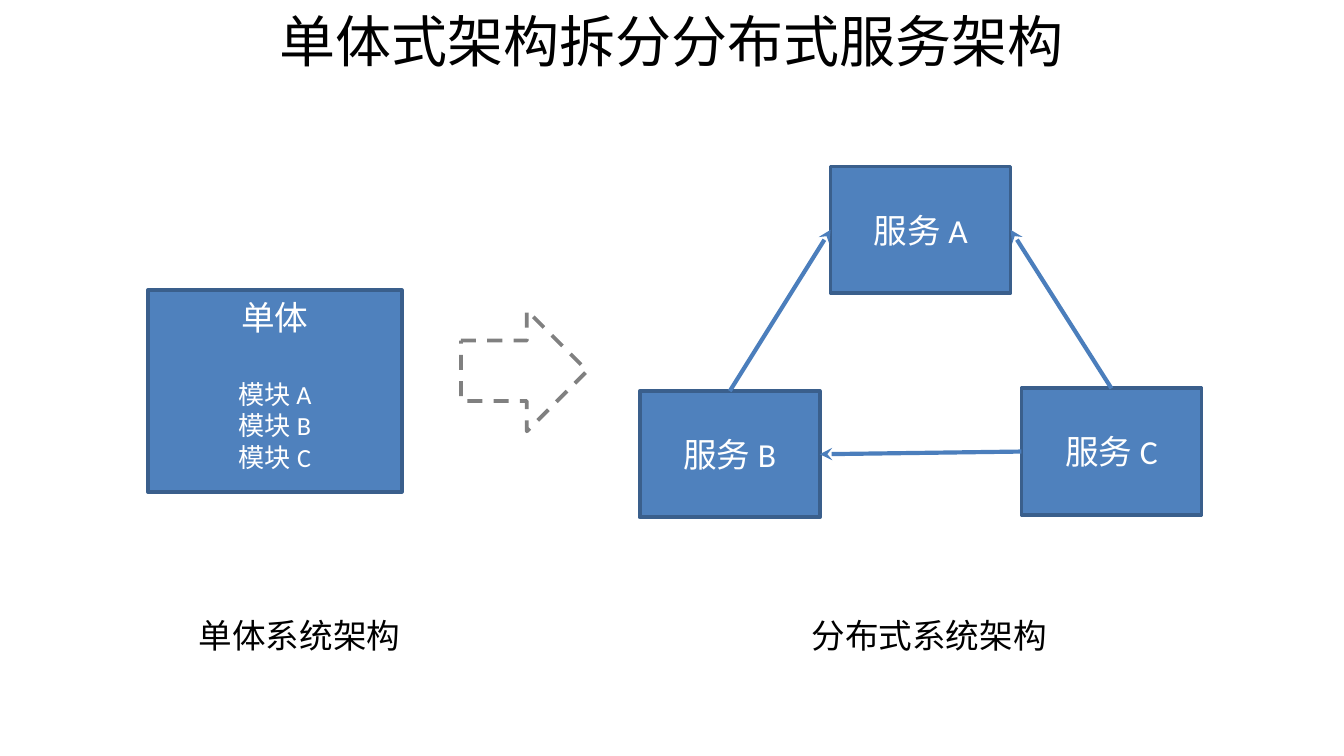
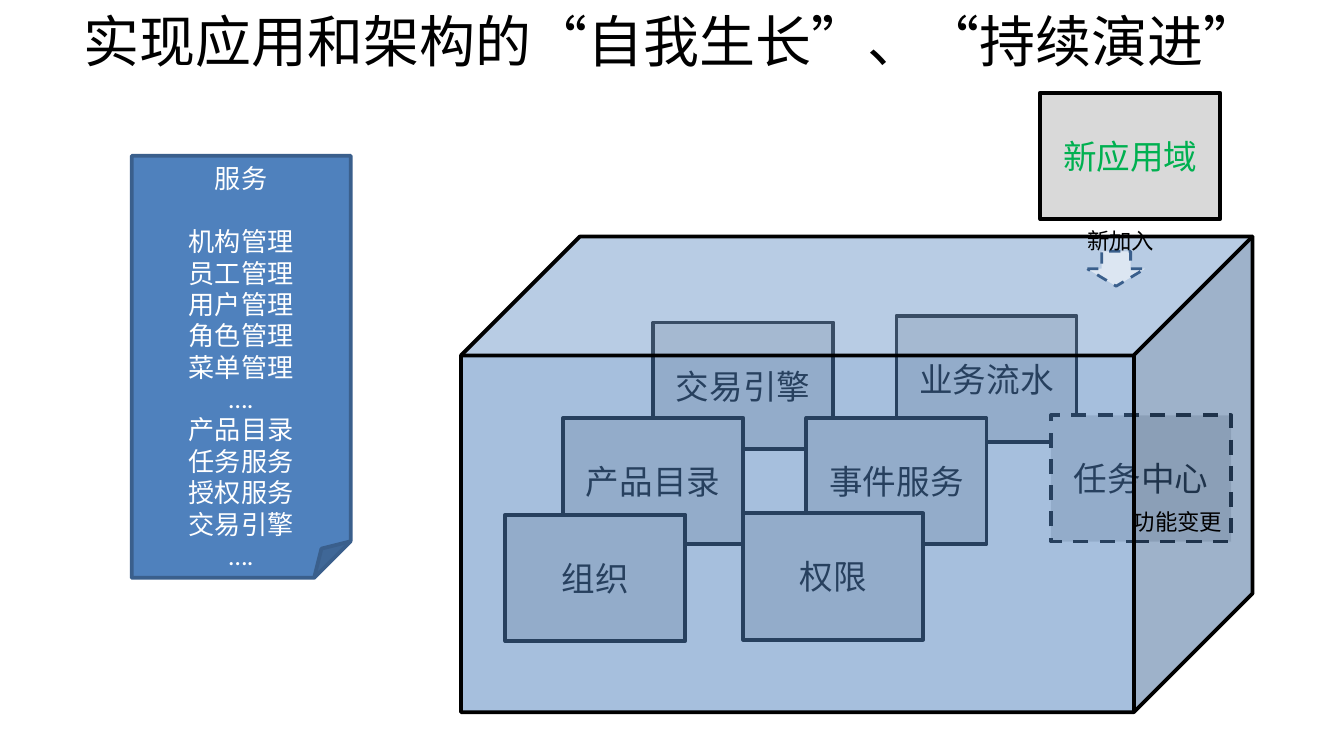
from dataclasses import dataclass

from lxml import etree
from pptx import Presentation
from pptx import util as u
from pptx.dml.color import RGBColor
from pptx.enum import dml, shapes, text
from pptx.oxml import ns


@dataclass(frozen=True)
class Theme:
    blue: str = "4F81BD"
    edge: str = "3A5F8C"
    link: str = "4B7EBC"
    pale: str = "DCE6F2"
    silver: str = "D9D9D9"
    grey: str = "808080"
    green: str = "00B050"
    black: str = "000000"
    white: str = "FFFFFF"
    title_font: str = "Noto Sans CJK SC"
    body_font: str = "Calibri"
    title: int = 30
    body: int = 18
    small: int = 14
    note: int = 12
    border: float = 2
    link_width: float = 2.25


T = Theme()
PAGE_WIDTH = u.Inches(10)
PAGE_HEIGHT = PAGE_WIDTH * 9 // 16
BOX = (1.34, 0.94)
KIND = shapes.MSO_SHAPE
TOP, LEFT, RIGHT = 0, 1, 3

SPLIT_TITLE = "单体式架构拆分分布式服务架构"
MONOLITH = ("单体", ["模块 A", "模块 B", "模块 C"])
SERVICES = {"服务 A": (6.18, 1.24), "服务 B": (4.76, 2.91), "服务 C": (7.6, 2.89)}
CALLS = [
    ("服务 C", TOP, "服务 A", RIGHT),
    ("服务 B", TOP, "服务 A", LEFT),
    ("服务 C", LEFT, "服务 B", RIGHT),
]
CAPTIONS = [("分布式系统架构", 5.94), ("单体系统架构", 1.38)]

GROWTH_TITLE = "实现应用和架构的“自我生长”、“持续演进”"
CATALOG = ("服务", [
    "机构管理", "员工管理", "用户管理", "角色管理", "菜单管理", "….",
    "产品目录", "任务服务", "授权服务", "交易引擎", "….",
])
DOMAINS = [
    ("业务流水", 6.67, 2.35),
    ("交易引擎", 4.86, 2.4),
    ("产品目录", 4.19, 3.11),
    ("事件服务", 6, 3.11),
    ("权限", 5.53, 3.82),
    ("组织", 3.76, 3.83),
]
CHANGING = ("任务中心", 7.82, 3.09)
JOINING = ("新应用域", 7.74, 0.69)
NOTES = [("新加入", 7.99, 1.64), ("功能变更", 8.33, 3.73)]


def rgb(value):
    return RGBColor.from_string(value)


def write(frame, lines, size, color, font=T.body_font, centred=True):
    frame.word_wrap = True
    for index, line in enumerate(lines):
        para = frame.paragraphs[0] if index == 0 else frame.add_paragraph()
        para.text = line
        para.alignment = text.PP_ALIGN.CENTER if centred else text.PP_ALIGN.LEFT
        para.font.size = u.Pt(size)
        para.font.name = font
        para.font.color.rgb = rgb(color)


def add_label(page, line, left, top, width, height, size, **style):
    box = page.shapes.add_textbox(*map(u.Inches, (left, top, width, height)))
    write(box.text_frame, [line], size, T.black, **style)


def add_page(deck, title):
    page = deck.slides.add_slide(deck.slide_layouts[6])
    add_label(page, title, 0, 0, 10, 0.55, T.title, font=T.title_font)
    return page


def add_figure(page, kind, place, fill, line, width=T.border, dashed=False):
    figure = page.shapes.add_shape(kind, *map(u.Inches, place))
    figure.shadow.inherit = False
    figure.fill.solid()
    figure.fill.fore_color.rgb = rgb(fill)
    figure.line.color.rgb = rgb(line)
    figure.line.width = u.Pt(width)
    if dashed:
        figure.line.dash_style = dml.MSO_LINE.DASH
    return figure


def add_box(page, name, left, top, fill, line, color, dashed=False):
    box = add_figure(page, KIND.RECTANGLE, (left, top, *BOX), fill, line, dashed=dashed)
    box.text_frame.vertical_anchor = text.MSO_ANCHOR.MIDDLE
    write(box.text_frame, [name], T.body, color)
    return box


def add_list(page, kind, place, content, heading_size, gap):
    heading, items = content
    panel = add_figure(page, kind, place, T.blue, T.edge)
    frame = panel.text_frame
    frame.vertical_anchor = text.MSO_ANCHOR.TOP
    write(frame, [heading, *items], T.small, T.white)
    frame.paragraphs[0].font.size = u.Pt(heading_size)
    frame.paragraphs[0].space_after = u.Pt(gap)


def add_call(page, source, source_side, target, target_side):
    call = page.shapes.add_connector(shapes.MSO_CONNECTOR.STRAIGHT, 0, 0, 0, 0)
    call.begin_connect(source, source_side)
    call.end_connect(target, target_side)
    call.line.color.rgb = rgb(T.link)
    call.line.width = u.Pt(T.link_width)
    properties = call._element.spPr
    etree.SubElement(properties.find(ns.qn("a:ln")), ns.qn("a:tailEnd"), type="stealth")
    etree.SubElement(properties, ns.qn("a:effectLst"))


def set_opacity(figure, percent):
    color = figure._element.spPr.find(ns.qn("a:solidFill"))[0]
    etree.SubElement(color, ns.qn("a:alpha"), val=str(percent * 1000))


def build_split(deck):
    page = add_page(deck, SPLIT_TITLE)
    add_list(page, KIND.RECTANGLE, (1.1, 2.16, 1.89, 1.5), MONOLITH, T.body, 22)
    boxes = {
        name: add_box(page, name, left, top, T.blue, T.edge, T.white)
        for name, (left, top) in SERVICES.items()
    }
    for caption, left in CAPTIONS:
        add_label(page, caption, left, 4.53, 2.05, 0.4, T.body, centred=False)
    for source, source_side, target, target_side in CALLS:
        add_call(page, boxes[source], source_side, boxes[target], target_side)
    add_figure(page, KIND.RIGHT_ARROW, (3.43, 2.31, 0.94, 0.9), T.white, T.grey, dashed=True)


def build_growth(deck):
    page = add_page(deck, GROWTH_TITLE)
    for domain in DOMAINS:
        add_box(page, *domain, T.silver, T.black, T.black)
    add_list(page, KIND.FOLDED_CORNER, (0.98, 1.16, 1.63, 3.14), CATALOG, T.small, 17)
    add_box(page, *CHANGING, T.silver, T.black, T.black, dashed=True)
    platform = add_figure(page, KIND.CUBE, (3.43, 1.76, 5.89, 3.54), T.blue, T.black)
    set_opacity(platform, 50)
    add_box(page, *JOINING, T.silver, T.black, T.green)
    add_figure(page, KIND.DOWN_ARROW, (8.09, 1.87, 0.43, 0.26), T.pale, T.edge, 1.5, True)
    for note, left, top in NOTES:
        add_label(page, note, left, top, 1, 0.3, T.note, centred=False)


def main():
    deck = Presentation()
    deck.slide_width, deck.slide_height = PAGE_WIDTH, PAGE_HEIGHT
    build_split(deck)
    build_growth(deck)
    deck.save("out.pptx")


if __name__ == "__main__":
    main()
